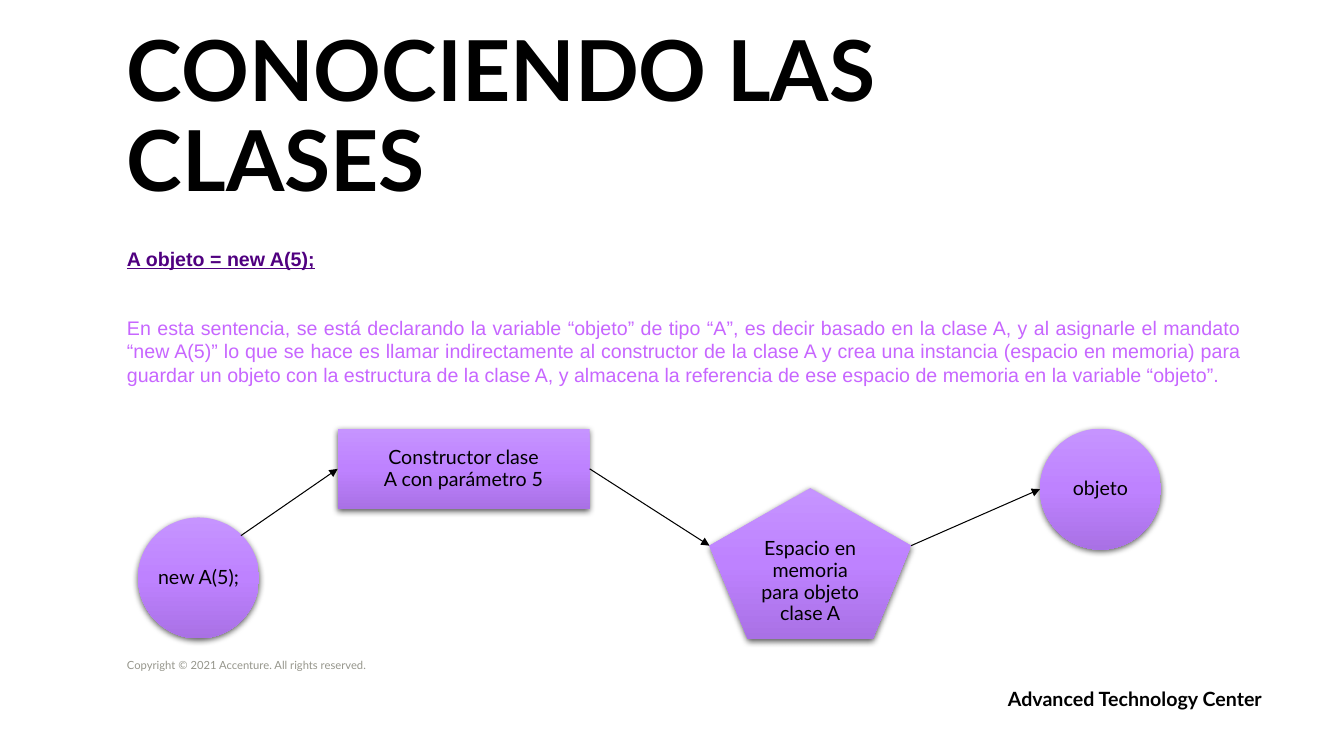
from copy import deepcopy
from lxml import etree
from pptx import Presentation
from pptx import util as u
from pptx.dml.color import RGBColor
from pptx.enum import shapes, text
from pptx.oxml import ns

BLACK = RGBColor(0x00, 0x00, 0x00)
GREY = RGBColor(0x96, 0x96, 0x8C)
INDIGO = RGBColor(0x50, 0x00, 0x80)
LILAC = RGBColor(0xC7, 0x66, 0xFF)
NODE_STOPS = (
    (0, RGBColor(0xC6, 0x94, 0xFF)),
    (0.5, RGBColor(0xBE, 0x82, 0xFF)),
    (1, RGBColor(0xA9, 0x71, 0xE5)),
)
LEFT = 3.2
SHAPE = shapes.MSO_SHAPE
ALIGN = text.PP_ALIGN
ANCHOR = text.MSO_ANCHOR


def set_attributes(target, values):
    for name, value in values.items():
        setattr(target, name, value)


def write(shape, lines, font, color, frame=None, spacing=None, align=ALIGN.LEFT):
    words = shape.text_frame
    words.text = "\n".join(lines)
    layout = {"margin_left": 0, "margin_top": 0, "margin_right": 0, "margin_bottom": 0,
              "word_wrap": True, "auto_size": text.MSO_AUTO_SIZE.NONE}
    set_attributes(words, {**layout, **(frame or {})})
    for paragraph in words.paragraphs:
        set_attributes(paragraph, {"alignment": align, "line_spacing": spacing})
        set_attributes(paragraph.runs[0].font, font)
        paragraph.runs[0].font.color.rgb = color


def add_label(slide, box, line, font, color, frame=None, align=ALIGN.LEFT):
    label = slide.shapes.add_textbox(*map(u.Cm, box))
    write(label, [line], font, color, frame, align=align)


def add_heading(slide, box):
    title = slide.shapes.title
    places = zip(("left", "top", "width", "height"), map(u.Cm, box))
    set_attributes(title, dict(places))
    write(title, ["CONOCIENDO LAS CLASES"], {"name": "Lato", "size": u.Pt(60), "bold": True},
          BLACK, {"vertical_anchor": ANCHOR.BOTTOM}, 0.9)


def add_explanation(slide, left, top, width):
    frame = {"margin_top": u.Cm(0.08), "vertical_anchor": ANCHOR.MIDDLE}
    font = {"name": "Arial", "size": u.Pt(14)}
    add_label(slide, (left, top, 7.9, 0.51), "A objeto = new A(5);",
              {**font, "bold": True, "underline": True}, INDIGO, frame, ALIGN.JUSTIFY)
    add_label(slide, (left, top + 1.02, width, 3.12),
              "En esta sentencia, se está declarando la variable “objeto” de tipo “A”, "
              "es decir basado en la clase A, y al asignarle el mandato “new A(5)” lo que "
              "se hace es llamar indirectamente al constructor de la clase A y crea una "
              "instancia (espacio en memoria) para guardar un objeto con la estructura de "
              "la clase A, y almacena la referencia de ese espacio de memoria en la "
              "variable “objeto”.", font, LILAC, frame, ALIGN.JUSTIFY)


def add_node(slide, kind, box, lines):
    node = slide.shapes.add_shape(kind, *map(u.Cm, box))
    node.fill.gradient()
    node.fill.gradient_angle = 270
    stop_list = node.fill._fill._gradFill.find(ns.qn("a:gsLst"))
    stop_list.append(deepcopy(stop_list[0]))
    for stop, (position, color) in zip(node.fill.gradient_stops, NODE_STOPS):
        stop.position = position
        stop.color.rgb = color
    node.line.fill.background()
    node.shadow.inherit = False
    effects = node._element.spPr.find(ns.qn("a:effectLst"))
    shadow = etree.SubElement(effects, ns.qn("a:outerShdw"), blurRad=str(u.Pt(4.5)),
                              dist=str(u.Pt(1.5)), dir="5400000", rotWithShape="0")
    shade = etree.SubElement(shadow, ns.qn("a:srgbClr"), val=str(BLACK))
    etree.SubElement(shade, ns.qn("a:alpha"), val="63000")
    frame = {"margin_left": u.Cm(0.25), "margin_right": u.Cm(0.25),
             "margin_top": u.Cm(0.13), "margin_bottom": u.Cm(0.13),
             "word_wrap": False, "vertical_anchor": ANCHOR.MIDDLE}
    write(node, lines, {"name": "Lato", "size": u.Pt(14)}, BLACK, frame, 0.93, ALIGN.CENTER)
    return node


def add_arrow(slide, start, end):
    arrow = slide.shapes.add_connector(shapes.MSO_CONNECTOR.STRAIGHT,
                                       *map(u.Cm, (*start, *end)))
    arrow.line.color.rgb = BLACK
    arrow.line.width = u.Pt(0.75)
    etree.SubElement(arrow.line._get_or_add_ln(), ns.qn("a:tailEnd"), type="triangle")
    etree.SubElement(arrow._element.spPr, ns.qn("a:effectLst"))
    return arrow


def add_flow(slide, left, top):
    circle = 3.05
    call_top = top + 2.24
    step_left, step_width, step_height = left + 5.03, 6.35, 2.03
    memory_left, memory_top, memory_width = left + 14.4, top + 1.5, 5.08
    object_left = left + 22.73
    add_node(slide, SHAPE.OVAL, (left, call_top, circle, circle), ["new A(5);"])
    constructor = add_node(slide, SHAPE.FLOWCHART_PROCESS,
                           (step_left, top, step_width, step_height),
                           ["Constructor clase", "A con parámetro 5"])
    add_node(slide, SHAPE.REGULAR_PENTAGON, (memory_left, memory_top, memory_width, 3.81),
             ["Espacio en", "memoria", "para objeto", "clase A"])
    add_node(slide, SHAPE.OVAL, (object_left, top, circle, circle), ["objeto"])

    step_middle = top + step_height / 2
    corner = memory_top + 1.45
    to_step = add_arrow(slide, (left + circle * 0.85, call_top + circle * 0.15),
                        (step_left, step_middle))
    to_step.end_connect(constructor, 1)
    to_memory = add_arrow(slide, (step_left + step_width, step_middle), (memory_left, corner))
    to_memory.begin_connect(constructor, 3)
    add_arrow(slide, (memory_left + memory_width, corner), (object_left, top + circle / 2))


def add_footer(slide, left, top):
    add_label(slide, (left, top, 8.61, 0.33),
              "Copyright © 2021 Accenture. All rights reserved.",
              {"name": "Lato", "size": u.Pt(8)}, GREY, {"vertical_anchor": ANCHOR.BOTTOM})
    add_label(slide, (left + 22.2, top + 0.73, 7.95, 0.69), "Advanced Technology Center",
              {"name": "Lato", "size": u.Pt(14), "bold": True}, BLACK)


def main():
    deck = Presentation()
    deck.slide_width, deck.slide_height = u.Cm(33.87), u.Cm(19.05)
    slide = deck.slides.add_slide(deck.slide_layouts[5])
    add_heading(slide, (LEFT, 0.51, 22.23, 4.78))
    add_explanation(slide, LEFT, 6.22, 28.09)
    add_flow(slide, 3.48, 10.8)
    add_footer(slide, LEFT, 16.59)
    deck.save("out.pptx")


if __name__ == "__main__":
    main()
